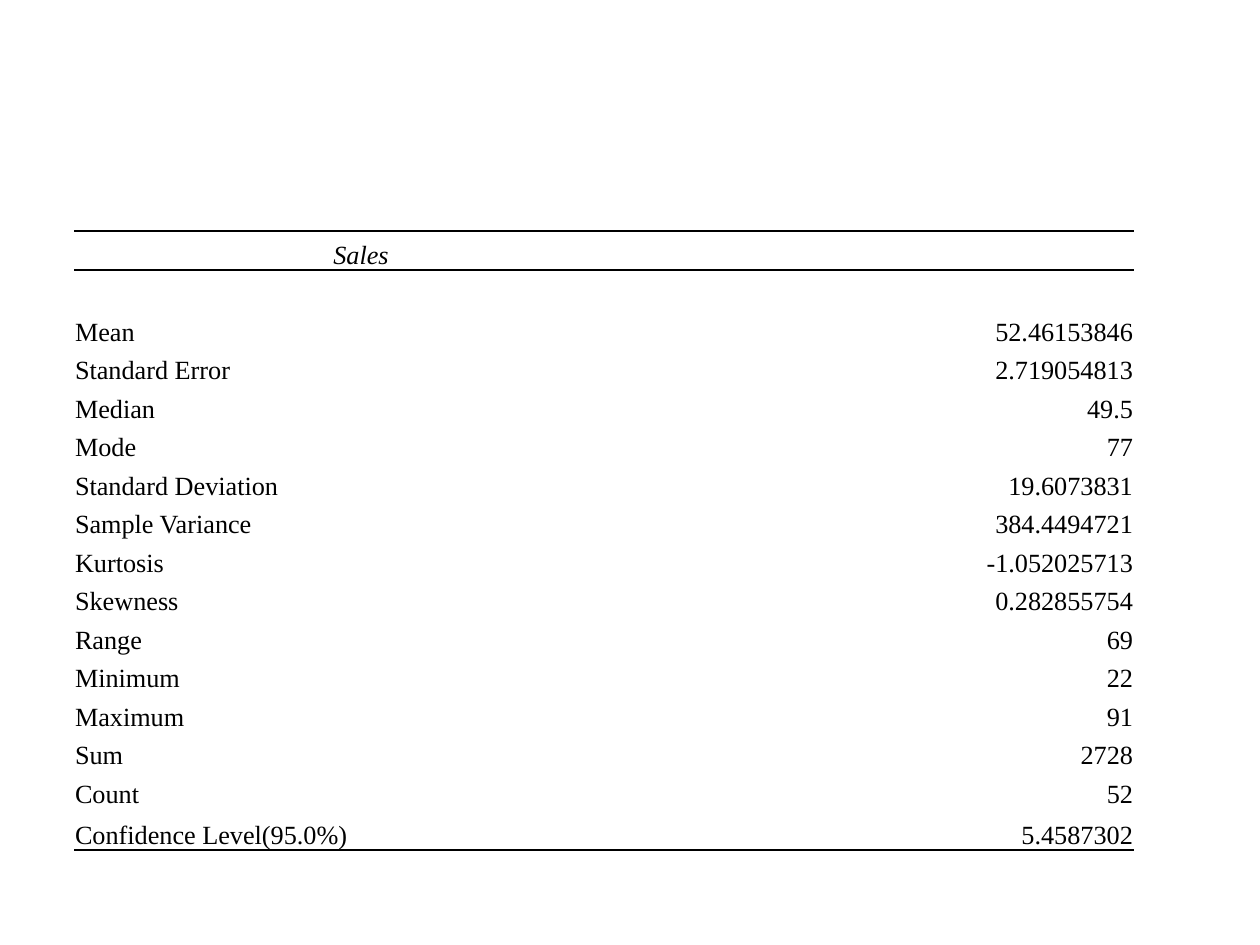
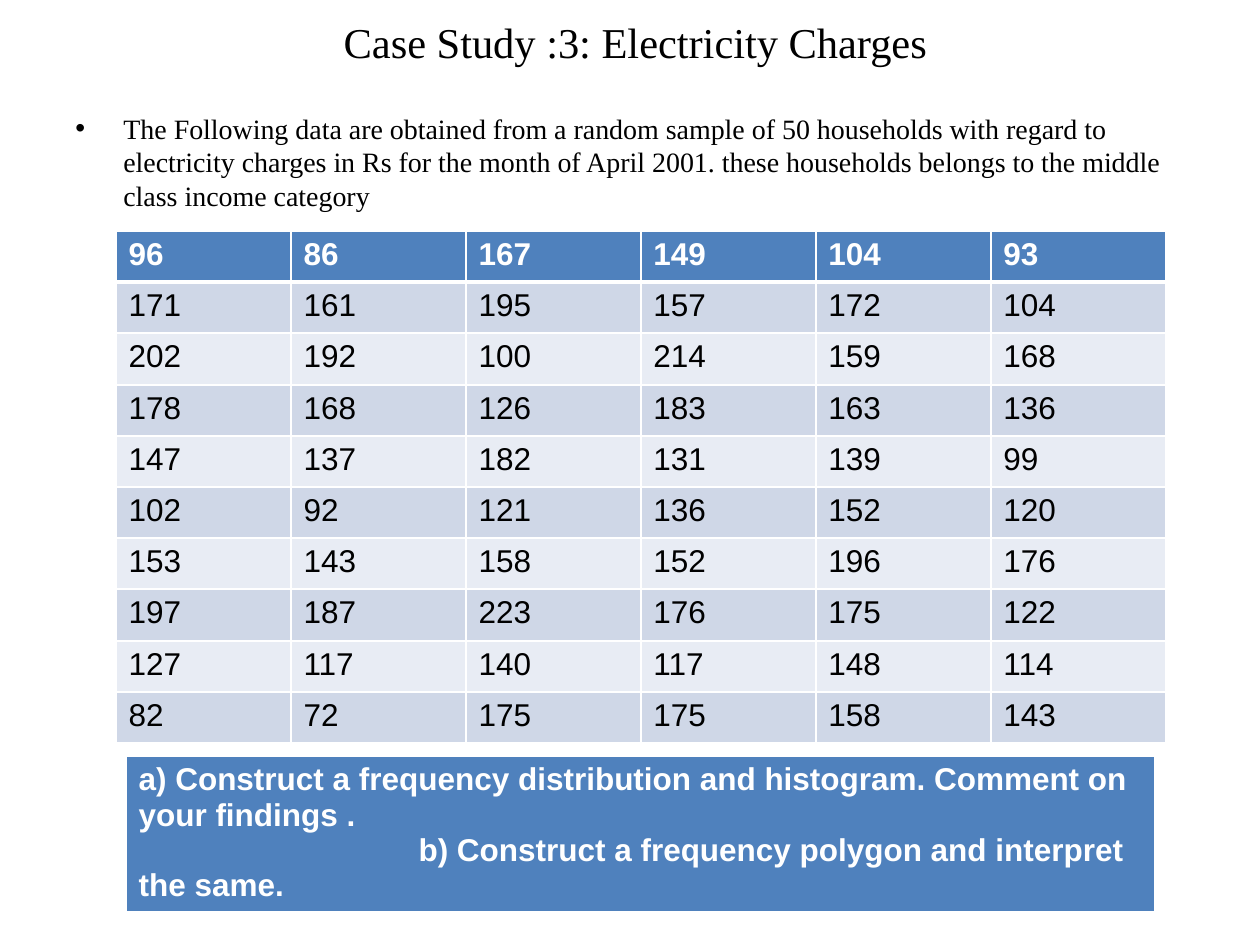
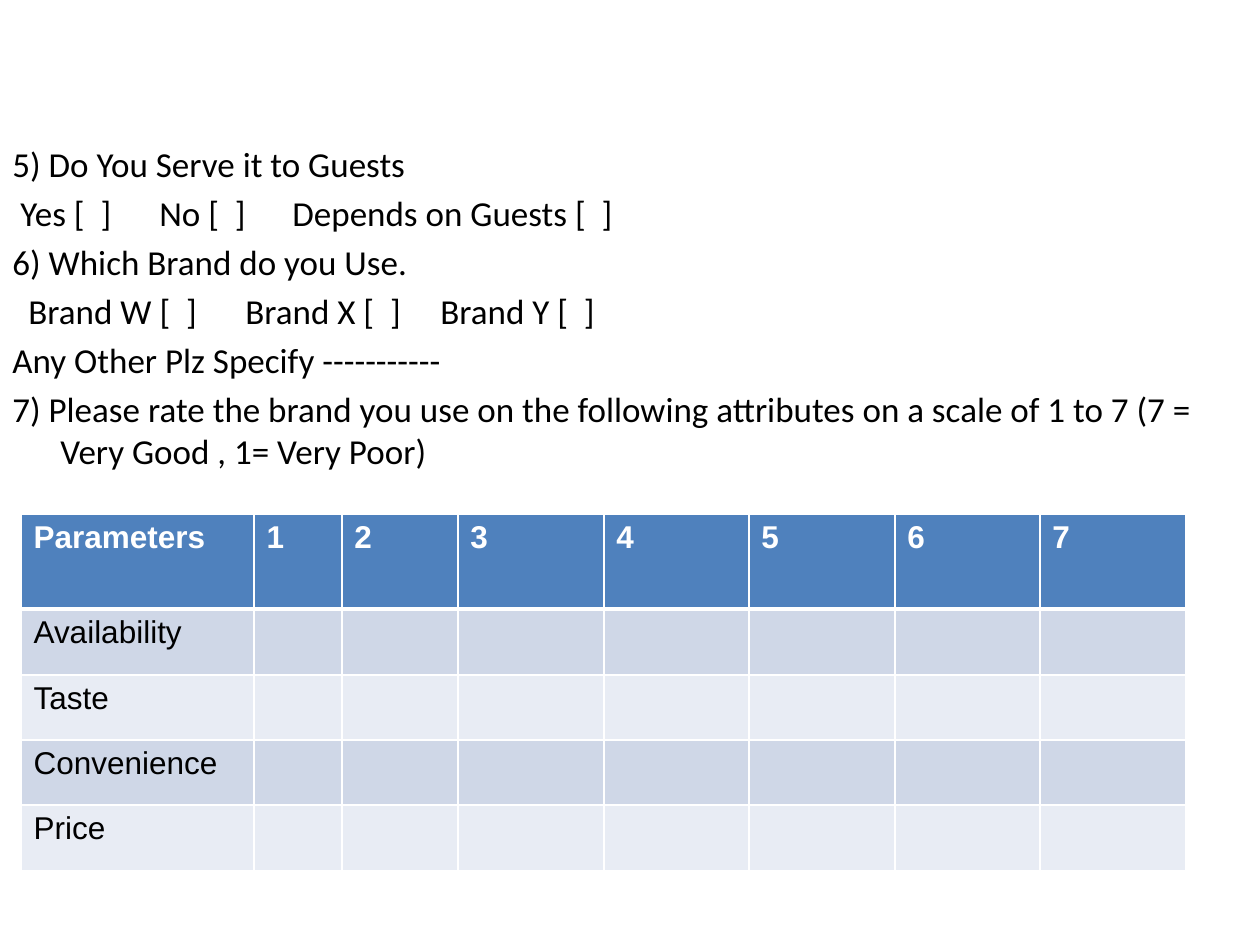
from dataclasses import dataclass
from typing import Optional

import lxml.etree
import pptx
import pptx.dml.color
import pptx.enum.text
import pptx.oxml.ns
import pptx.util

PIXELS_PER_INCH = 126
EMU_PER_INCH = 914400
BLACK, WHITE, BLUE = "000000", "FFFFFF", "4F81BD"
BANDS = ("CFD7E7", "E8ECF4")
SERIF, SANS, BODY = "Times New Roman", "Arial", "Calibri"
ALIGN = pptx.enum.text.PP_ALIGN
ANCHOR = pptx.enum.text.MSO_ANCHOR
HANGING = 48

Borders = dict[str, tuple[str, float]]
HEADER_BORDERS: Borders = {"L": (WHITE, 1), "R": (WHITE, 1), "T": (WHITE, 1), "B": (WHITE, 3)}
BAND_BORDERS: Borders = {**HEADER_BORDERS, "B": (WHITE, 1)}


@dataclass(frozen=True)
class Grid:
    left: int
    top: int
    columns: list[int]
    rows: list[int]
    values: list[list[str]]


@dataclass(frozen=True)
class Line:
    text: str
    margin: int = HANGING
    indent: Optional[int] = -HANGING
    stops: tuple[int, ...] = ()
    bullet: Optional[str] = None


SALES = [
    ("Sales", ""), ("", ""),
    ("Mean", "52.46153846"), ("Standard Error", "2.719054813"),
    ("Median", "49.5"), ("Mode", "77"),
    ("Standard Deviation", "19.6073831"), ("Sample Variance", "384.4494721"),
    ("Kurtosis", "-1.052025713"), ("Skewness", "0.282855754"),
    ("Range", "69"), ("Minimum", "22"), ("Maximum", "91"),
    ("Sum", "2728"), ("Count", "52"), ("Confidence Level(95.0%)", "5.4587302"),
]
CHARGES = [
    [96, 86, 167, 149, 104, 93],
    [171, 161, 195, 157, 172, 104],
    [202, 192, 100, 214, 159, 168],
    [178, 168, 126, 183, 163, 136],
    [147, 137, 182, 131, 139, 99],
    [102, 92, 121, 136, 152, 120],
    [153, 143, 158, 152, 196, 176],
    [197, 187, 223, 176, 175, 122],
    [127, 117, 140, 117, 148, 114],
    [82, 72, 175, 175, 158, 143],
]
INTRODUCTION = (
    "The Following data are obtained from a random sample of 50 households with regard to "
    "electricity charges in Rs for the month of April 2001. these households belongs to the "
    "middle class income category"
)
TASKS = [
    Line("a) Construct a frequency distribution and histogram. Comment on your findings .", 0, 0),
    Line("b) Construct a frequency polygon and interpret the same.", 0, 280),
]
QUESTIONS = [
    Line("5) Do You Serve it to Guests"),
    Line("Yes [  ]\tNo [  ]\tDepends on Guests [  ]", 8, None, (139, 272)),
    Line("6) Which Brand do you Use."),
    Line("Brand W [  ]\tBrand X [  ]\tBrand Y [  ]", 16, None, (217, 412)),
    Line("Any Other Plz Specify -----------"),
    Line("7) Please rate the brand you use on the following attributes on a scale of 1 to 7 "
         "(7 = Very Good , 1= Very Poor)"),
]
PARAMETERS = ["Availability", "Taste", "Convenience", "Price"]


def px(length: int) -> pptx.util.Emu:
    return pptx.util.Emu(round(length * EMU_PER_INCH / PIXELS_PER_INCH))


def split(total: int, count: int) -> list[int]:
    edges = [round(total * index / count) for index in range(count + 1)]
    return [end - start for start, end in zip(edges, edges[1:])]


def color(value: str) -> pptx.dml.color.RGBColor:
    return pptx.dml.color.RGBColor.from_string(value)


def add_element(parent, tag: str, **attributes: str):
    element = lxml.etree.SubElement(parent, pptx.oxml.ns.qn(tag))
    for name, value in attributes.items():
        element.set(name, value)
    return element


def write_text(paragraph, text: str, *, size: float, font: str, fill: str = BLACK,
               bold: bool = False, italic: bool = False, align=ALIGN.LEFT) -> None:
    paragraph.alignment = align
    run = paragraph.add_run()
    run.text = text
    run.font.size = pptx.util.Pt(size)
    run.font.name = font
    run.font.bold = bold
    run.font.italic = italic
    run.font.color.rgb = color(fill)


def write_lines(frame, lines: list[Line], *, space: float = 0, **text_format) -> None:
    for index, line in enumerate(lines):
        paragraph = frame.add_paragraph() if index else frame.paragraphs[0]
        write_text(paragraph, line.text, **text_format)
        paragraph.space_before = pptx.util.Pt(space if index else 0)
        properties = paragraph._p.get_or_add_pPr()
        properties.set("marL", str(px(line.margin)))
        if line.indent is not None:
            properties.set("indent", str(px(line.indent)))
        if line.bullet:
            add_element(properties, "a:buFont", typeface=SANS)
            add_element(properties, "a:buChar", char=line.bullet)
        if line.stops:
            stops = add_element(properties, "a:tabLst")
            for stop in line.stops:
                add_element(stops, "a:tab", pos=str(px(stop)), algn="l")


def add_text_box(slide, left: int, top: int, width: int, height: int,
                 lines: list[Line], **text_format) -> None:
    box = slide.shapes.add_textbox(px(left), px(top), px(width), px(height))
    box.text_frame.word_wrap = True
    write_lines(box.text_frame, lines, **text_format)


def set_borders(cell, borders: Borders) -> None:
    properties = cell._tc.get_or_add_tcPr()
    for side in "LRTB":
        if side in borders:
            line_color, width = borders[side]
            line = add_element(properties, f"a:ln{side}", w=str(pptx.util.Pt(width)))
            add_element(add_element(line, "a:solidFill"), "a:srgbClr", val=line_color)
        else:
            add_element(add_element(properties, f"a:ln{side}"), "a:noFill")


def add_grid(slide, grid: Grid):
    table = slide.shapes.add_table(
        len(grid.rows), len(grid.columns), px(grid.left), px(grid.top),
        px(sum(grid.columns)), px(sum(grid.rows))).table
    for column, width in zip(table.columns, grid.columns):
        column.width = px(width)
    for row, height in zip(table.rows, grid.rows):
        row.height = px(height)
    return table


def paint_cell(cell, fill: str, borders: Borders) -> None:
    set_borders(cell, borders)
    cell.fill.solid()
    cell.fill.fore_color.rgb = color(fill)


def add_banded_table(slide, grid: Grid) -> None:
    table = add_grid(slide, grid)
    for row_index, values in enumerate(grid.values):
        header = row_index == 0
        for column_index, value in enumerate(values):
            cell = table.cell(row_index, column_index)
            paint_cell(cell, BLUE if header else BANDS[(row_index - 1) % 2],
                       HEADER_BORDERS if header else
                       {**BAND_BORDERS, "T": (WHITE, 3 if row_index == 1 else 1)})
            write_text(cell.text_frame.paragraphs[0], value, size=18, font=SANS,
                       fill=WHITE if header else BLACK, bold=header)


def build_sales_slide(presentation) -> None:
    slide = presentation.slides.add_slide(presentation.slide_layouts[6])
    grid = Grid(74, 231, [574, 486], [*split(578, len(SALES) - 1), 41],
                [list(row) for row in SALES])
    table = add_grid(slide, grid)
    table.first_row = False
    table.horz_banding = False
    rules: dict[int, Borders] = {
        0: {"T": (BLACK, 1), "B": (BLACK, 0.75)},
        1: {"T": (BLACK, 0.75)},
        len(SALES) - 1: {"B": (BLACK, 1)},
    }
    for row_index, values in enumerate(grid.values):
        for column_index, value in enumerate(values):
            cell = table.cell(row_index, column_index)
            cell.margin_left = cell.margin_right = cell.margin_top = px(1)
            cell.margin_bottom = 0
            cell.vertical_anchor = ANCHOR.BOTTOM
            set_borders(cell, rules.get(row_index, {}))
            cell.fill.background()
            header = row_index == 0
            align = ALIGN.CENTER if header else (ALIGN.LEFT, ALIGN.RIGHT)[column_index]
            write_text(cell.text_frame.paragraphs[0], value, size=15, font=SERIF,
                       italic=header, align=align)


def build_charges_slide(presentation) -> None:
    slide = presentation.slides.add_slide(presentation.slide_layouts[5])
    title = slide.shapes.title
    title.left, title.top, title.width, title.height = px(42), px(21), px(1187), px(42)
    title.text_frame.auto_size = pptx.enum.text.MSO_AUTO_SIZE.NONE
    title.text_frame.vertical_anchor = ANCHOR.MIDDLE
    write_text(title.text_frame.paragraphs[0], "Case Study :3: Electricity Charges",
               size=24.3, font=SERIF, align=ALIGN.CENTER)
    add_text_box(slide, 63, 105, 1134, 120, [Line(INTRODUCTION, bullet="•")],
                 size=16, font=SERIF)
    add_banded_table(slide, Grid(116, 231, split(1050, 6), split(512, len(CHARGES)),
                                 [[str(value) for value in row] for row in CHARGES]))
    tasks = add_grid(slide, Grid(126, 756, [1029], [150], []))
    cell = tasks.cell(0, 0)
    cell.margin_bottom = 0
    paint_cell(cell, BLUE, HEADER_BORDERS)
    write_lines(cell.text_frame, TASKS, size=18, font=SANS, fill=WHITE, bold=True)


def build_survey_slide(presentation) -> None:
    slide = presentation.slides.add_slide(presentation.slide_layouts[6])
    add_text_box(slide, 0, 136, 1218, 350, QUESTIONS, size=20, font=BODY, space=4)
    scale = [str(score) for score in range(1, 8)]
    values = [["Parameters", *scale]]
    values += [[name, *[""] * len(scale)] for name in PARAMETERS]
    add_banded_table(slide, Grid(21, 514, [233, 88, 116, *split(728, 5)],
                                 [95, *split(262, len(PARAMETERS))], values))


def main() -> None:
    presentation = pptx.Presentation()
    presentation.slide_width, presentation.slide_height = px(1260), px(945)
    build_sales_slide(presentation)
    build_charges_slide(presentation)
    build_survey_slide(presentation)
    presentation.save("out.pptx")


if __name__ == "__main__":
    main()
